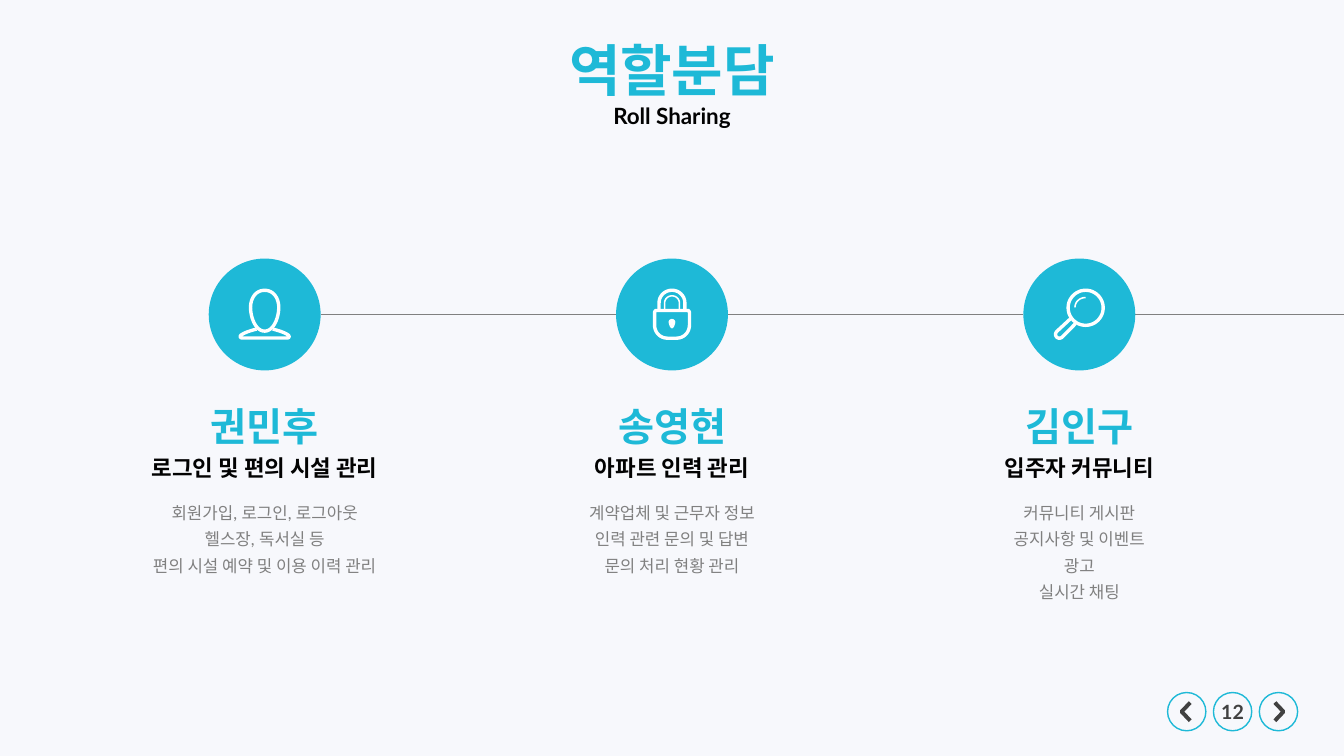
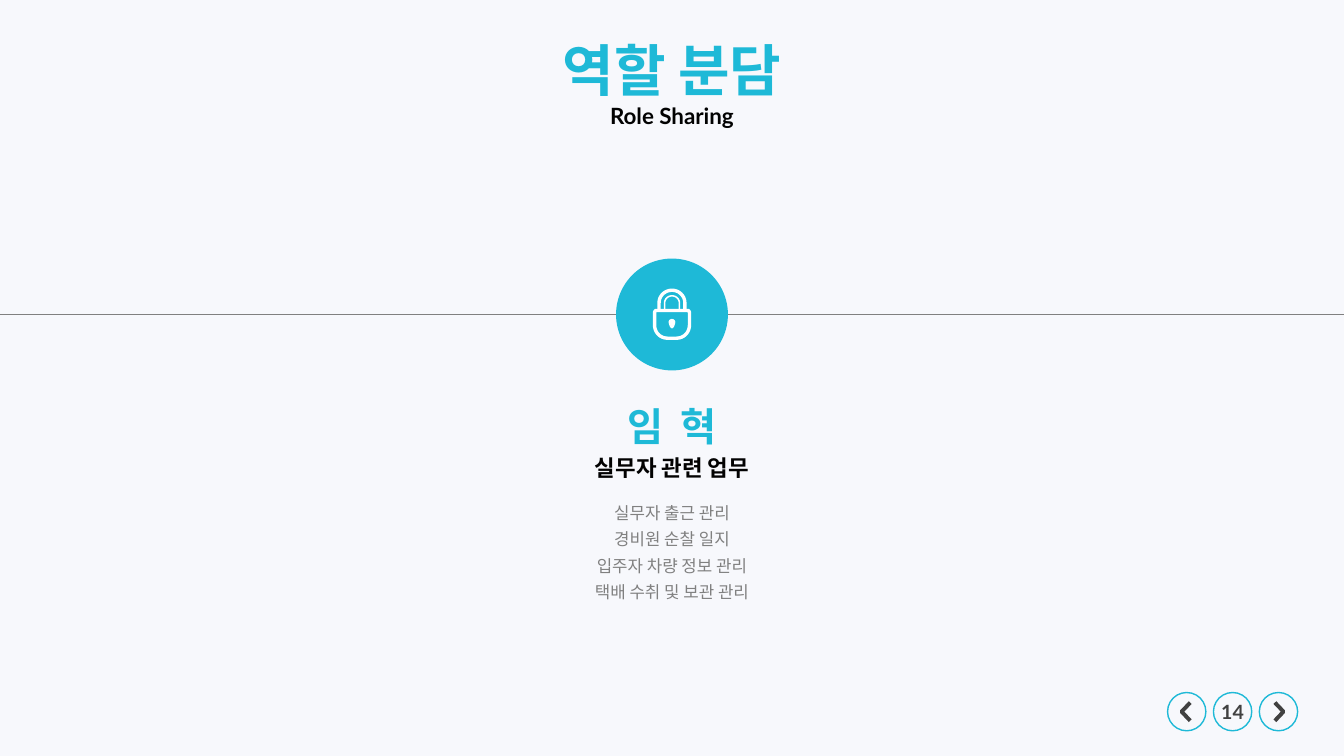
from lxml.etree import SubElement
from pptx import Presentation
from pptx.dml.color import RGBColor
from pptx.enum.shapes import MSO_CONNECTOR, MSO_SHAPE
from pptx.enum.text import MSO_ANCHOR, PP_ALIGN
from pptx.oxml.ns import qn
from pptx.util import Inches, Pt

COLORS = {
    "background": "F7F8FC",
    "accent": "1EB9D7",
    "ink": "020202",
    "body": "808080",
    "navigation": "414141",
    "icon": "FFFFFF",
}
FONT = "Lato"
SLIDE_WIDTH, SLIDE_HEIGHT = 13.33, 7.5
BADGE_SIZE = 1.11
RAIL_Y = 3.12
COLUMN_PITCH = 4.04
COLUMN_WIDTH = 3.05
MIDDLE = SLIDE_WIDTH / 2

# Each stroke: line width in points (0 = filled), closed flag, start point, segments.
# Segments are straight (2 numbers) or cubic (6 numbers), in hundredths of an inch.
ICONS = {
    "person": [
        (2.4, True, (0, -24), [
            (-9, -24, -14, -16, -14, -7), (-14, 3, -9, 16.5, 0, 16.5),
            (9, 16.5, 14, 3, 14, -7), (14, -16, 9, -24, 0, -24)]),
        (2.4, False, (-8, 14.5), [
            (-14, 16, -20, 18, -23.5, 20.5), (-25, 22, -24, 23.3, -22.5, 23.3),
            (22.5, 23.3), (24, 23.3, 25, 22, 23.5, 20.5), (20, 18, 14, 16, 8, 14.5)]),
    ],
    "lock": [
        (2.4, True, (-15.5, -4), [
            (15.5, -4), (16.5, -4, 17.3, -3, 17.3, -1.5), (17.3, 10.5),
            (17.3, 17.5, 12, 23.5, 4.5, 23.5), (-4.5, 23.5),
            (-12, 23.5, -17.3, 17.5, -17.3, 10.5), (-17.3, -1.5),
            (-17.3, -3, -16.5, -4, -15.5, -4)]),
        (2.4, False, (-12.8, -4), [
            (-12.8, -11.5), (-12.8, -18.5, -7, -24, 0, -24),
            (7, -24, 12.8, -18.5, 12.8, -11.5), (12.8, -4)]),
        (1.1, False, (-7.3, -5), [
            (-7.3, -11.5), (-7.3, -15.5, -4, -18.5, 0, -18.5),
            (4, -18.5, 7.3, -15.5, 7.3, -11.5), (7.3, -5)]),
        (0, True, (0, 4.5), [
            (-2, 4.5, -3.3, 6, -3.3, 7.5), (-3.3, 9, -2, 13.8, 0, 13.8),
            (2, 13.8, 3.3, 9, 3.3, 7.5), (3.3, 6, 2, 4.5, 0, 4.5)]),
    ],
    "magnifier": [
        (2.4, True, (6.3, -24), [
            (15.9, -24, 23.7, -16.2, 23.7, -6.6), (23.7, 3, 15.9, 10.8, 6.3, 10.8),
            (-3.3, 10.8, -11.1, 3, -11.1, -6.6), (-11.1, -16.2, -3.3, -24, 6.3, -24)]),
        (2.4, False, (-8.5, 4), [
            (-22.5, 17), (-25, 20, -23, 23.3, -20, 23.6),
            (-18.5, 23.6, -17.5, 23, -16.8, 22.3), (-4, 9.3)]),
        (1.1, False, (-4.3, -7), [(-4.3, -12.5, 0.3, -16.8, 6.3, -16.8)]),
    ],
}

SLIDES = [
    {"title": "역할분담", "subtitle": "Roll Sharing", "page": "12", "rail_from_edge": False,
     "members": [
         ("person", "권민후", "로그인 및 편의 시설 관리",
          ["회원가입, 로그인, 로그아웃", "헬스장, 독서실 등", "편의 시설 예약 및 이용 이력 관리"]),
         ("lock", "송영현", "아파트 인력 관리",
          ["계약업체 및 근무자 정보", "인력 관련 문의 및 답변", "문의 처리 현황 관리"]),
         ("magnifier", "김인구", "입주자 커뮤니티",
          ["커뮤니티 게시판", "공지사항 및 이벤트", "광고", "실시간 채팅"]),
     ]},
    {"title": "역할 분담", "subtitle": "Role Sharing", "page": "14", "rail_from_edge": True,
     "members": [
         ("lock", "임  혁", "실무자 관련 업무",
          ["실무자 출근 관리", "경비원 순찰 일지", "입주자 차량 정보 관리", "택배 수취 및 보관 관리"]),
     ]},
]


def rgb(role):
    """Return the colour of a palette role."""
    return RGBColor.from_string(COLORS[role])


def write(frame, lines, size, color, bold=True, spacing=1.0):
    """Fill a text frame with centred paragraphs in the deck's font."""
    frame.text = "\n".join(lines)
    for paragraph in frame.paragraphs:
        paragraph.alignment = PP_ALIGN.CENTER
        paragraph.line_spacing = spacing
        for run in paragraph.runs:
            run.font.name = FONT
            run.font.size = Pt(size)
            run.font.bold = bold
            run.font.color.rgb = rgb(color)


def add_label(slide, center, top, width, height, lines, size, color, **style):
    """Add a wrapping text box centred on a vertical axis."""
    label = slide.shapes.add_textbox(
        Inches(center - width / 2), Inches(top), Inches(width), Inches(height))
    label.text_frame.word_wrap = True
    write(label.text_frame, lines, size, color, **style)


def add_circle(shapes, center_x, center_y, size):
    """Add a circle around a centre point."""
    circle = shapes.add_shape(
        MSO_SHAPE.OVAL, Inches(center_x - size / 2), Inches(center_y - size / 2),
        Inches(size), Inches(size))
    circle.shadow.inherit = False
    return circle


def trace(start, segments, steps=12):
    """Turn straight and cubic segments into a list of points."""
    points = [start]
    for segment in segments:
        if len(segment) == 2:
            points.append(segment)
            continue
        x0, y0 = points[-1]
        x1, y1, x2, y2, x3, y3 = segment
        for step in range(1, steps + 1):
            t = step / steps
            a, b, c, d = (1 - t) ** 3, 3 * t * (1 - t) ** 2, 3 * t * t * (1 - t), t ** 3
            points.append((a * x0 + b * x1 + c * x2 + d * x3,
                           a * y0 + b * y1 + c * y2 + d * y3))
    return points


def add_stroke(shapes, center_x, center_y, stroke, color):
    """Draw one icon stroke relative to a centre point."""
    width, closed, start, segments = stroke
    points = [(Inches(center_x + x / 100), Inches(center_y + y / 100))
              for x, y in trace(start, segments)]
    builder = shapes.build_freeform(*points[0], scale=1.0)
    builder.add_line_segments(points[1:], close=closed)
    outline = builder.convert_to_shape()
    outline.shadow.inherit = False
    if width:
        outline.fill.background()
        outline.line.color.rgb = rgb(color)
        outline.line.width = Pt(width)
    else:
        outline.fill.solid()
        outline.fill.fore_color.rgb = rgb(color)
        outline.line.fill.background()


def add_header(slide, title, subtitle):
    """Place the title and the subtitle beneath it."""
    heading = slide.shapes.title
    heading.left, heading.top = Inches(MIDDLE - 2), Inches(0.3)
    heading.width, heading.height = Inches(4), Inches(0.77)
    heading.text_frame.vertical_anchor = MSO_ANCHOR.TOP
    write(heading.text_frame, [title], 40, "accent")
    add_label(slide, MIDDLE, 0.96, 4, 0.37, [subtitle], 16, "ink")


def add_navigation(slide, page, left=11.77, middle=7.06, pitch=0.455):
    """Place the previous, page number and next circles."""
    circles = [add_circle(slide.shapes, left + i * pitch, middle, 0.38) for i in range(3)]
    for circle in circles:
        circle.fill.background()
        circle.line.color.rgb = rgb("accent")
        circle.line.width = Pt(1)
    number = circles[1].text_frame
    number.word_wrap = False
    number.margin_left = number.margin_right = number.margin_top = number.margin_bottom = 0
    number.vertical_anchor = MSO_ANCHOR.MIDDLE
    write(number, [page], 14, "navigation")
    for center, side in ((left, -1), (left + 2 * pitch, 1)):
        chevron = (2.8, False, (-3.5 * side, -9), [(5 * side, 0), (-3.5 * side, 9)])
        add_stroke(slide.shapes, center, middle, chevron, "navigation")


def add_rail(slide, centers, from_edge):
    """Draw the thin line between the badges and out to the slide edge."""
    radius = BADGE_SIZE / 2
    starts = [0] + [center + radius for center in centers]
    ends = [center - radius for center in centers] + [SLIDE_WIDTH]
    for start, end in list(zip(starts, ends))[0 if from_edge else 1:]:
        rail = slide.shapes.add_connector(
            MSO_CONNECTOR.STRAIGHT, Inches(start), Inches(RAIL_Y), Inches(end), Inches(RAIL_Y))
        rail.line.color.rgb = rgb("body")
        rail.line.width = Pt(0.5)
        SubElement(rail.line._get_or_add_ln().getparent(), qn("a:effectLst"))


def add_member(slide, center, icon, name, role, tasks):
    """Place one member's badge, name, role and tasks in a column."""
    badge = slide.shapes.add_group_shape()
    disc = add_circle(badge.shapes, center, RAIL_Y, BADGE_SIZE)
    disc.fill.solid()
    disc.fill.fore_color.rgb = rgb("accent")
    disc.line.fill.background()
    for stroke in ICONS[icon]:
        add_stroke(badge.shapes, center, RAIL_Y, stroke, "icon")
    add_label(slide, center, 3.94, COLUMN_WIDTH, 0.57, [name], 28, "accent")
    add_label(slide, center, 4.46, COLUMN_WIDTH, 0.37, [role], 16, "ink")
    add_label(slide, center, 4.88, COLUMN_WIDTH, 0.11 + 0.26 * len(tasks), tasks, 12, "body",
              bold=False, spacing=1.3)


def add_role_slide(deck, title, subtitle, page, rail_from_edge, members):
    """Build one slide of evenly spaced members."""
    slide = deck.slides.add_slide(deck.slide_layouts[5])
    add_header(slide, title, subtitle)
    offset = (len(members) - 1) / 2
    centers = [MIDDLE + (i - offset) * COLUMN_PITCH for i in range(len(members))]
    add_rail(slide, centers, rail_from_edge)
    for center, member in zip(centers, members):
        add_member(slide, center, *member)
    add_navigation(slide, page)


def main():
    """Build and save the deck."""
    deck = Presentation()
    deck.slide_width, deck.slide_height = Inches(SLIDE_WIDTH), Inches(SLIDE_HEIGHT)
    backdrop = deck.slide_master.background.fill
    backdrop.solid()
    backdrop.fore_color.rgb = rgb("background")
    for content in SLIDES:
        add_role_slide(deck, **content)
    deck.save("out.pptx")


if __name__ == "__main__":
    main()
